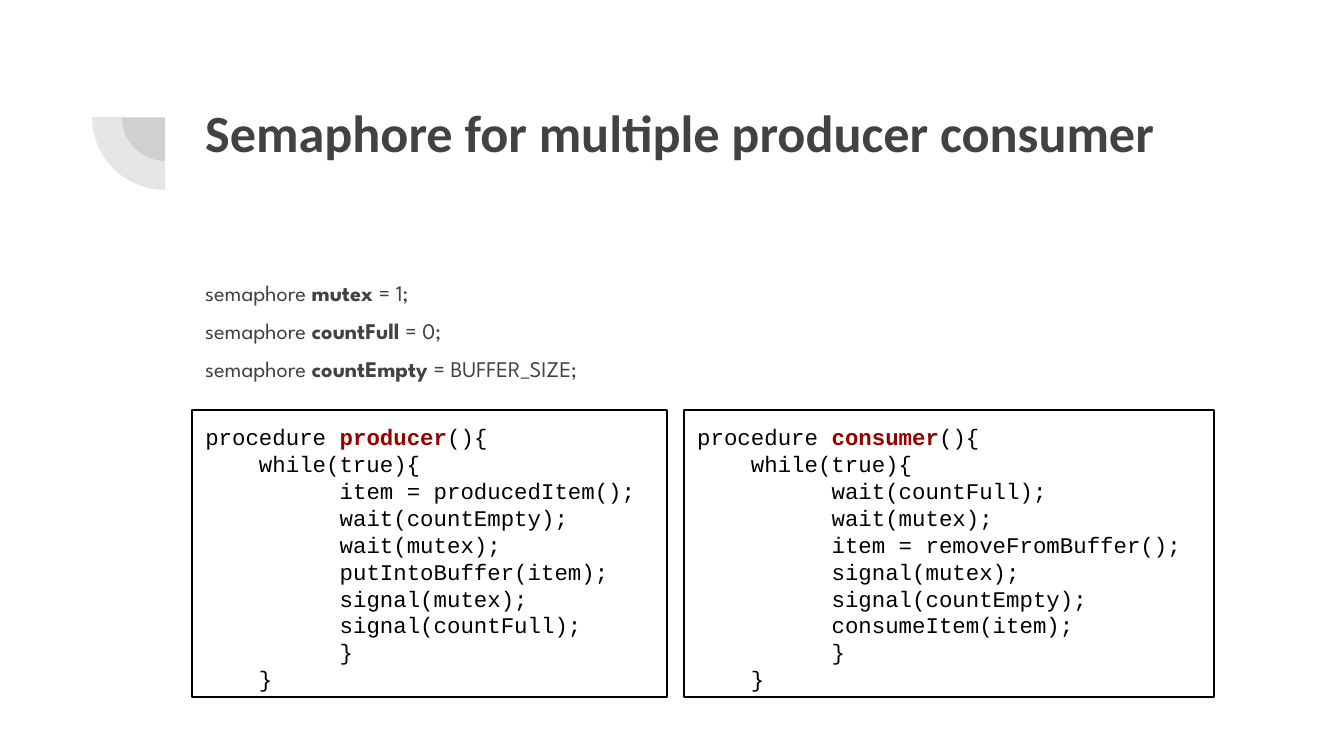
from lxml import etree
from pptx import Presentation
from pptx.dml.color import RGBColor
from pptx.enum.shapes import MSO_SHAPE
from pptx.enum.text import MSO_ANCHOR, PP_ALIGN
from pptx.oxml.ns import qn
from pptx.util import Pt

PIE, RECTANGLE = MSO_SHAPE.PIE, MSO_SHAPE.RECTANGLE
LEFT, TOP = PP_ALIGN.LEFT, MSO_ANCHOR.TOP

TITLE = "Semaphore for multiple producer consumer"
SEMAPHORES = [("mutex", "1"), ("countFull", "0"), ("countEmpty", "BUFFER_SIZE")]
PROCEDURES = [
    ("producer", (192, 410, 475, 287), [
        "item = producedItem();", "wait(countEmpty);", "wait(mutex);",
        "putIntoBuffer(item);", "signal(mutex);", "signal(countFull);",
    ]),
    ("consumer", (684, 410, 530, 287), [
        "wait(countFull);", "wait(mutex);", "item = removeFromBuffer();",
        "signal(mutex);", "signal(countEmpty);", "consumeItem(item);",
    ]),
]
TITLE_AREA = (192, 87, 1033, 146)
SEMAPHORE_AREA = (192, 266, 1033, 130)
PIES = [(122, 74, 87), (92, 44, 146)]
GREY, BLACK, RED = "424242", "000000", "980000"
INSET = 13.44
TAB = 134.4
LINE_PITCH = 14.4


def px(length):
    return round(length * 914400 / 134.4)


def color(hex_code):
    return RGBColor.from_string(hex_code)


def add_pie(left, top, size):
    pie = slide.shapes.add_shape(PIE, px(left), px(top), px(size), px(size))
    pie.adjustments[0], pie.adjustments[1] = 108, 162
    pie.rotation = 270
    pie.shadow.inherit = False
    pie.line.fill.background()
    pie.fill.solid()
    pie.fill.fore_color.rgb = color(GREY)
    tint = pie.fill._xPr.find(qn("a:solidFill"))[0]
    etree.SubElement(tint, qn("a:alpha")).set("val", "13000")


def write(holder, paragraphs, font, size, ink, pitch=None, gap=0, tab=None):
    frame = holder.text_frame
    frame.word_wrap = True
    frame.vertical_anchor = TOP
    frame.margin_left = frame.margin_right = px(INSET)
    frame.margin_top = frame.margin_bottom = px(INSET)
    for index, pieces in enumerate(paragraphs):
        paragraph = frame.add_paragraph() if index else frame.paragraphs[0]
        paragraph.alignment = LEFT
        paragraph.space_before = Pt(gap if index else 0)
        if pitch:
            paragraph.line_spacing = Pt(pitch)
        if tab:
            stops = etree.SubElement(paragraph._p.get_or_add_pPr(), qn("a:tabLst"))
            etree.SubElement(stops, qn("a:tab"), pos=str(px(tab)), algn="l")
        paragraph.font.name = font
        paragraph.font.size = Pt(size)
        for text, bold, piece_ink in pieces:
            run = paragraph.add_run()
            run.text = text
            run.font.bold = bold
            run.font.color.rgb = color(piece_ink or ink)


prs = Presentation()
prs.slide_width, prs.slide_height = px(1344), px(756)
slide = prs.slides.add_slide(prs.slide_layouts[6])

for pie_place in PIES:
    add_pie(*pie_place)

title = slide.shapes.add_textbox(*map(px, TITLE_AREA))
write(title, [[(TITLE, True, None)]], "Calibri", 28, GREY)

semaphores = slide.shapes.add_textbox(*map(px, SEMAPHORE_AREA))
declarations = [
    [("semaphore ", False, None), (f"{name} ", True, None), (f"= {value};", False, None)]
    for name, value in SEMAPHORES
]
write(semaphores, declarations, "League Spartan", 12, GREY, LINE_PITCH, gap=6)

for name, area, steps in PROCEDURES:
    procedure = slide.shapes.add_shape(RECTANGLE, *map(px, area))
    procedure.shadow.inherit = False
    procedure.fill.background()
    procedure.line.color.rgb = color(BLACK)
    procedure.line.width = Pt(0.75)
    heading = [("procedure ", False, None), (name, True, RED), ("(){", False, None)]
    body = ["    while(true){", *(f"\t{step}" for step in steps), "\t}", "    }"]
    code = [heading] + [[(line, False, None)] for line in body]
    write(procedure, code, "Courier New", 12, BLACK, LINE_PITCH, tab=TAB)

prs.save("out.pptx")
